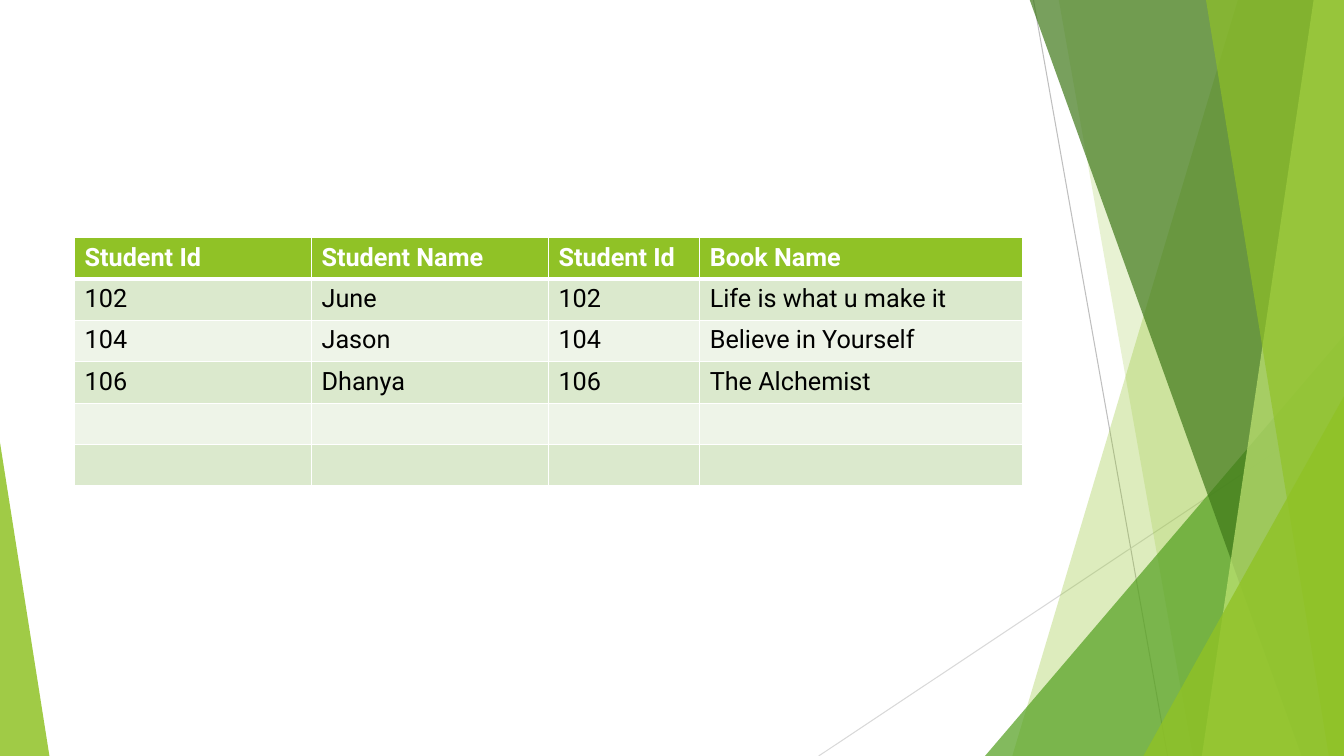
import dataclasses

import pptx
import pptx.dml.color
import pptx.enum.shapes
import pptx.oxml
import pptx.oxml.ns
import pptx.util

PX = 9144
WIDTH, HEIGHT = 1333, 750


@dataclasses.dataclass(frozen=True)
class Theme:
    font: str = "Roboto"
    size: int = 18
    green: str = "90C226"
    leaf: str = "54A021"
    forest: str = "3F7819"
    lime: str = "C0E474"
    white: str = "FFFFFF"
    black: str = "000000"
    line_dark: str = "BFBFBF"
    line_light: str = "D9D9D9"
    bands: tuple = ("DBE9CD", "EEF4E8")


def rgb(color):
    return pptx.dml.color.RGBColor.from_string(color)


def apply(target, values):
    for name, value in values.items():
        setattr(target, name, value)


class SlideBuilder:
    def __init__(self, s, theme):
        self.s = s
        self.theme = theme

    def line(self, x1, y1, x2, y2, color):
        cn = self.s.shapes.add_connector(
            pptx.enum.shapes.MSO_CONNECTOR.STRAIGHT,
            x1 * PX, y1 * PX, x2 * PX, y2 * PX)
        cn.line.color.rgb = rgb(color)
        cn.line.width = pptx.util.Pt(0.75)
        pptx.oxml.ns.qn("a:effectLst")
        cn._element.spPr.append(pptx.oxml.parse_xml(
            f'<a:effectLst {pptx.oxml.ns.nsdecls("a")}/>'))

    def paint(self, sp, color, opacity):
        sp.shadow.inherit = False
        sp.fill.solid()
        sp.fill.fore_color.rgb = rgb(color)
        clr = sp._element.spPr.find(".//" + pptx.oxml.ns.qn("a:srgbClr"))
        clr.append(pptx.oxml.parse_xml(
            f'<a:alpha {pptx.oxml.ns.nsdecls("a")} val="{opacity * 1000}"/>'))
        sp.line.fill.background()

    def polygon(self, points, color, opacity):
        fb = self.s.shapes.build_freeform(*points[0], scale=PX)
        fb.add_line_segments(points[1:], close=True)
        self.paint(fb.convert_to_shape(), color, opacity)

    def triangle(self, x, y, w, h, apex, color, opacity):
        sp = self.s.shapes.add_shape(
            pptx.enum.shapes.MSO_SHAPE.ISOSCELES_TRIANGLE,
            x * PX, y * PX, w * PX, h * PX)
        sp.adjustments[0] = apex
        self.paint(sp, color, opacity)

    def borders(self, cell, bottom):
        tcPr = cell._tc.get_or_add_tcPr()
        for side, width in zip("LRTB", (1, 1, 1, bottom)):
            tcPr.append(pptx.oxml.parse_xml(
                f'<a:ln{side} {pptx.oxml.ns.nsdecls("a")} w="{width * 12700}">'
                f'<a:solidFill><a:srgbClr val="{self.theme.white}"/>'
                f'</a:solidFill></a:ln{side}>'))

    def table(self, x, y, widths, row_height, rows):
        t = self.theme
        tb = self.s.shapes.add_table(
            len(rows), len(widths), x * PX, y * PX,
            sum(widths) * PX, row_height * len(rows) * PX).table
        for column, width in zip(tb.columns, widths):
            column.width = width * PX
        for i, texts in enumerate(rows):
            tb.rows[i].height = row_height * PX
            header = i == 0
            style = {"name": t.font, "size": pptx.util.Pt(t.size), "bold": header}
            for cell, text in zip(tb.rows[i].cells, texts):
                self.borders(cell, 3 if header else 1)
                cell.fill.solid()
                cell.fill.fore_color.rgb = rgb(
                    t.green if header else t.bands[(i - 1) % 2])
                if text:
                    r = cell.text_frame.paragraphs[0].add_run()
                    r.text = text
                    apply(r.font, style)
                    r.font.color.rgb = rgb(t.white if header else t.black)


def facets(b):
    t = b.theme
    b.line(1025, 0, 1158, HEIGHT, t.line_dark)
    b.line(WIDTH, 403, 812, HEIGHT, t.line_light)

    def ribbon(top, bottom, color, opacity):
        b.polygon([(top, -1), (WIDTH, -1), (WIDTH, HEIGHT), (bottom, HEIGHT)],
                  color, opacity)

    ribbon(1228, 1004, t.green, 30)
    ribbon(1050, 1183, t.green, 20)
    b.triangle(977, 333, 356, 417, 1, t.leaf, 72)
    ribbon(1021, 1291, t.forest, 70)
    ribbon(1303, 1192, t.lime, 70)
    ribbon(1196, 1318, t.green, 65)
    b.triangle(1134, 393, 199, 357, 1, t.green, 80)
    b.triangle(0, 439, 49, 311, 0, t.green, 85)


def main():
    prs = pptx.Presentation()
    apply(prs, {"slide_width": WIDTH * PX, "slide_height": HEIGHT * PX})
    s = prs.slides.add_slide(prs.slide_layouts[6])
    b = SlideBuilder(s, Theme())
    facets(b)
    loans = [
        ("102", "June", "Life is what u make it"),
        ("104", "Jason", "Believe in Yourself"),
        ("106", "Dhanya", "The Alchemist"),
    ]
    rows = [("Student Id", "Student Name", "Student Id", "Book Name")]
    rows += [(key, student, key, book) for key, student, book in loans]
    rows += [("",) * 4] * 2
    b.table(74, 236, (235, 235, 150, 320), 41, rows)
    prs.save("out.pptx")


if __name__ == "__main__":
    main()
